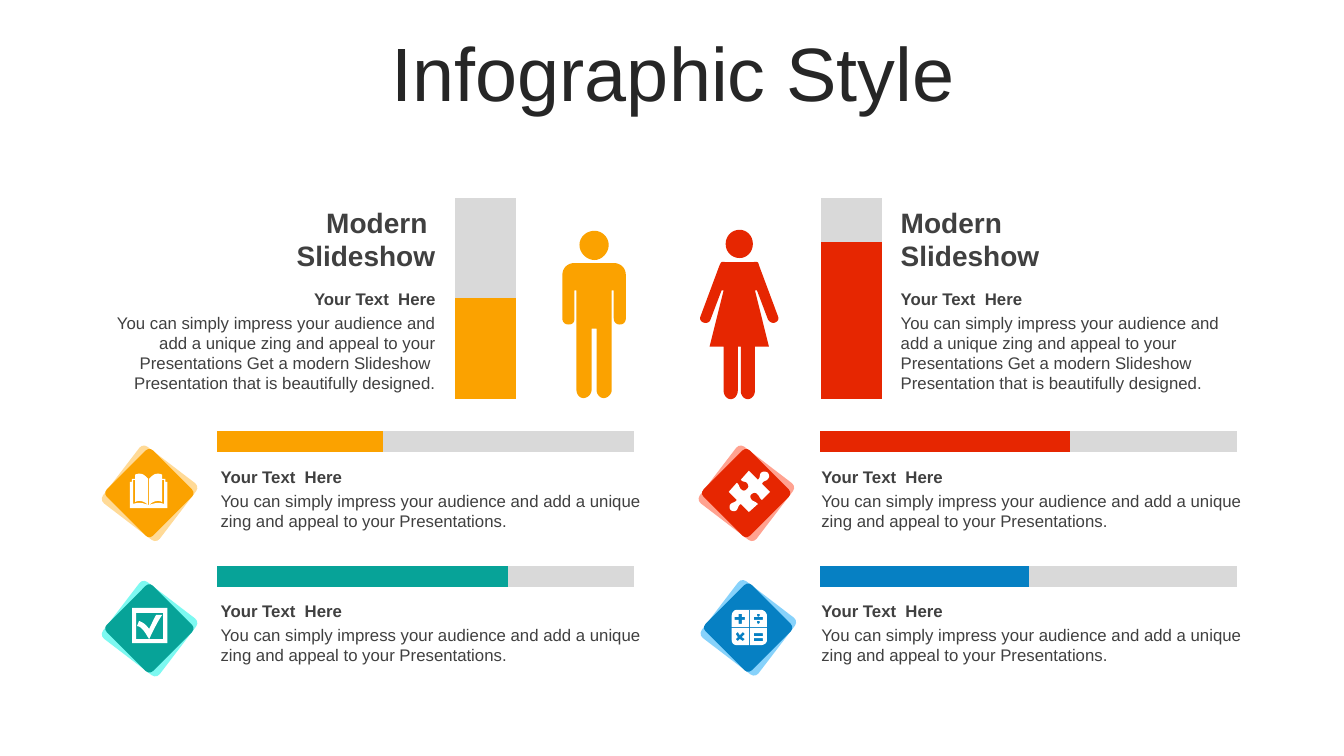
import lxml.etree
import pptx
import pptx.chart.data
import pptx.dml.color
import pptx.enum.chart
import pptx.enum.shapes
import pptx.enum.text
import pptx.oxml
import pptx.oxml.ns
import pptx.util

Cm = pptx.util.Cm
Align = pptx.enum.text.PP_ALIGN
ChartType = pptx.enum.chart.XL_CHART_TYPE
ORANGE, RED, TEAL, BLUE = "FBA200", "E62601", "07A398", "0680C3"
GREY, WHITE, DARK = "D9D9D9", "FFFFFF", "404040"


def paint(fill, color):
    fill.solid()
    fill.fore_color.rgb = pptx.dml.color.RGBColor.from_string(color)


def trace(outline):
    """Turn "x,y" corners and "x1,y1,x2,y2,x,y" curves into a list of points."""
    points = []
    for token in outline.split():
        numbers = [float(number) * Cm(0.0254) for number in token.split(",")]
        if len(numbers) == 2:
            points.append(tuple(numbers))
            continue
        (x0, y0), (x1, y1, x2, y2, x3, y3) = points[-1], numbers
        for step in range(1, 9):
            t = step / 8
            a, b, c, d = (1 - t) ** 3, 3 * t * (1 - t) ** 2, 3 * t * t * (1 - t), t ** 3
            points.append((a * x0 + b * x1 + c * x2 + d * x3,
                           a * y0 + b * y1 + c * y2 + d * y3))
    return points


presentation = pptx.Presentation()
presentation.slide_width, presentation.slide_height = Cm(33.87), Cm(19.05)
slide = presentation.slides.add_slide(presentation.slide_layouts[6])

# Diamond tiles: a light one behind a dark one
tiles = [(2.87, 11.53, "FFDA97", ORANGE), (17.96, 14.92, "87D2FB", BLUE),
         (2.87, 14.94, "7DF9F1", TEAL), (17.91, 11.53, "FFA290", RED)]
for left, top, light, dark in tiles:
    for inset, size, angle, color in [(0, 1.8, 307.4, light), (0.07, 1.65, 315, dark)]:
        tile = slide.shapes.add_shape(pptx.enum.shapes.MSO_SHAPE.ROUNDED_RECTANGLE,
                                      Cm(left + inset), Cm(top + inset), Cm(size), Cm(size))
        tile.adjustments[0] = 0.08
        tile.rotation = angle
        tile.shadow.inherit = False
        tile.line.fill.background()
        paint(tile.fill, color)

# Charts: shares against a grey remainder
column_plot, bar_plot = (0.013, 0.066, 0.965, 0.867), (0.014, 0.003, 0.973, 0.997)
charts = [(ChartType.COLUMN_STACKED_100, 7.37, 4.6, 19.13, 5.84, 500, column_plot,
           [50, 78], [ORANGE, RED])]
for left, top, share, color in [(5.31, 10.44, 40, ORANGE), (5.31, 13.84, 70, TEAL),
                                (20.52, 10.44, 60, RED), (20.52, 13.84, 50, BLUE)]:
    charts.append((ChartType.BAR_STACKED_100, left, top, 10.8, 1.37, 150, bar_plot,
                   [share], [color]))
for kind, left, top, width, height, gap, plot_area, shares, colors in charts:
    chart_data = pptx.chart.data.CategoryChartData()
    chart_data.categories = [str(number + 1) for number in range(len(shares))]
    chart_data.add_series("Series 1", shares)
    chart_data.add_series("Series 2", [100 - share for share in shares])
    chart = slide.shapes.add_chart(kind, Cm(left), Cm(top), Cm(width), Cm(height),
                                   chart_data).chart
    chart.has_title = chart.has_legend = False
    chart.font.name, chart.font.size = "Arial", pptx.util.Pt(18)
    chart.font.color.rgb = pptx.dml.color.RGBColor.from_string("000000")
    chart.category_axis.visible = chart.value_axis.visible = False
    chart.value_axis.has_major_gridlines = False
    plot = chart.plots[0]
    plot.gap_width, plot.overlap, plot.vary_by_categories = gap, 100, False
    paint(plot.series[0].format.fill, colors[0])
    paint(plot.series[1].format.fill, GREY)
    for index, color in enumerate(colors):
        paint(plot.series[0].points[index].format.fill, color)

    # Fixed inner plot area
    area = chart.element.find(".//" + pptx.oxml.ns.qn("c:plotArea"))
    for old_layout in area.findall(pptx.oxml.ns.qn("c:layout")):
        area.remove(old_layout)
    layout = lxml.etree.Element(pptx.oxml.ns.qn("c:layout"))
    manual = lxml.etree.SubElement(layout, pptx.oxml.ns.qn("c:manualLayout"))
    settings = [("layoutTarget", "inner"), ("xMode", "edge"), ("yMode", "edge")]
    for tag, value in settings + list(zip("xywh", plot_area)):
        lxml.etree.SubElement(manual, pptx.oxml.ns.qn("c:" + tag)).set("val", str(value))
    area.insert(0, layout)

# Figures and icons, drawn in hundredths of an inch on the page
man = [
    "570,261 609,261 616,261,621,266,621,273 621,316 621,320,618,322,615,322 "
    "612,322,609,320,609,316 609,288 607,288 607,387 607,391,603,395,599,395 "
    "595,395,592,391,592,387 592,326 587,326 587,387 587,391,583,395,579,395 "
    "575,395,572,391,572,387 572,288 570,288 570,316 570,320,568,322,564,322 "
    "561,322,558,320,558,316 558,273 558,266,563,261,570,261",
    "590,229 597,229,604,235,604,243 604,251,597,258,590,258 "
    "582,258,575,251,575,243 575,235,582,229,590,229"]
woman = [
    "721,260 746,260 752,260,752,259,753,263 772,314 773,316,772,319,769,320 "
    "767,321,764,320,762,317 751,288 749,288 763,344 749,344 749,388 "
    "749,392,746,396,742,396 738,396,735,392,735,388 735,344 732,344 732,388 "
    "732,392,729,396,725,396 721,396,718,392,718,388 718,344 704,344 718,288 "
    "716,288 705,317 704,320,701,321,698,320 695,319,694,316,695,314 714,263 "
    "716,259,715,260,721,260",
    "734,228 741,228,747,234,747,242 747,250,741,256,734,256 "
    "726,256,720,250,720,242 720,234,726,228,734,228"]
calculator = [
    "748,633 748,636 757,636 757,633", "748,628 748,631 757,631 757,628",
    "732,627 730,629 732,632 730,634 732,636 734,634 737,636 739,634 736,632 "
    "739,629 737,627 734,630",
    "744,623 761,623 761,635 761,638,758,640,755,640 744,640",
    "726,623 743,623 743,640 731,640 728,640,726,638,726,635",
    "752,616 752,616,751,616,751,617 751,618,752,619,752,619 "
    "753,619,754,618,754,617 754,616,753,616,752,616",
    "748,612 748,615 757,615 757,612",
    "733,609 733,612 729,612 729,615 733,615 733,619 736,619 736,615 739,615 "
    "739,612 736,612 736,609",
    "752,609 752,609,751,609,751,610 751,611,752,612,752,612 "
    "753,612,754,611,754,610 754,609,753,609,752,609",
    "731,605 755,605 758,605,761,608,761,611 761,622 744,622 744,605 743,605 "
    "743,622 726,622 726,611 726,608,728,605,731,605"]
puzzle = [
    "762,469 763,471,764,473,762,475 760,478,758,476,756,480 764,488 756,496 "
    "753,494,754,492,751,490 750,488,747,489,746,490 744,491,744,494,746,496 "
    "748,498,749,497,752,500 743,508 735,500 732,502,733,503,731,506 "
    "729,508,726,507,725,506 724,505,723,502,725,500 727,498,729,499,731,496 "
    "723,488 731,479 734,481,733,484,736,486 737,487,740,487,741,485 "
    "743,484,743,481,741,479 739,477,738,479,735,476 743,467 752,476 "
    "755,473,753,472,755,469 758,467,760,468,762,469"]
book = [
    "147,501 147,501,148,501,148,501 154,499,157,498,163,500 163,476 161,476 "
    "161,498 157,496,152,497,148,501 148,475 151,472,153,470,156,470 "
    "158,470,159,470,161,471 161,475 164,475 164,478 166,478 166,504 129,504 "
    "129,478 131,478 131,475 134,475 134,471 136,470,137,470,139,470 "
    "142,470,144,472,147,475 147,501 143,497,138,496,134,498 134,476 132,476 "
    "132,500 138,498,142,499,147,501"]
checkbox = [
    "136,608 135,608 135,634 148,634 145,630,142,622,136,621 138,616 "
    "143,618,145,620,148,624 151,618,152,615,155,610 161,610 "
    "156,617,152,626,148,634 162,634 162,608",
    "131,603 166,603 166,638 131,638"]
for outlines, color in [(man, ORANGE), (woman, RED), (calculator, WHITE),
                        (puzzle, WHITE), (book, WHITE), (checkbox, WHITE)]:
    contours = [trace(outline) for outline in outlines]
    builder = slide.shapes.build_freeform(*contours[0][0], scale=1.0)
    for index, contour in enumerate(contours):
        if index:
            builder.move_to(*contour[0])
        builder.add_line_segments(contour[1:], close=True)
    figure = builder.convert_to_shape()
    figure.shadow.inherit = False
    figure.line.fill.background()
    paint(figure.fill, color)

# Texts: left, top, width, height, wording, size, bold, alignment, colour
pitch = "You can simply impress your audience and add a unique zing and appeal to your Presentations"
long_pitch = pitch + " Get a modern Slideshow  Presentation that is beautifully designed."
texts = [(0.89, 0.94, 32.16, 2.01, "Infographic Style", 54, False, Align.CENTER, "262626")]
for left, width, heading_left, align in [(2.59, 8.64, 5.66, Align.RIGHT),
                                         (22.45, 9.27, 22.45, Align.LEFT)]:
    texts += [
        (heading_left, 5.05, 5.56, 1.96, "Modern  Slideshow", 20, True, align, DARK),
        (left, 7.14, width, 0.76, "Your Text  Here", 12, True, align, DARK),
        (left, 7.75, width, 2.31, long_pitch, 12, False, align, DARK)]
for left in (5.31, 20.45):
    for top in (11.63, 15.01):
        texts += [
            (left, top, 11.28, 0.76, "Your Text  Here", 12, True, Align.LEFT, DARK),
            (left, top + 0.61, 11.28, 1.27, pitch + ".", 12, False, Align.LEFT, DARK)]
for left, top, width, height, wording, size, bold, align, color in texts:
    text_frame = slide.shapes.add_textbox(Cm(left), Cm(top), Cm(width), Cm(height)).text_frame
    text_frame.word_wrap = True
    text_frame.text = wording
    paragraph = text_frame.paragraphs[0]
    paragraph.alignment = align
    if size == 54:
        text_frame.vertical_anchor = pptx.enum.text.MSO_ANCHOR.MIDDLE
        paragraph.line_spacing = 0.9
    font = paragraph.runs[0].font
    font.name, font.size, font.bold = "Arial", pptx.util.Pt(size), bold
    paint(font.fill, color)

presentation.save("out.pptx")
